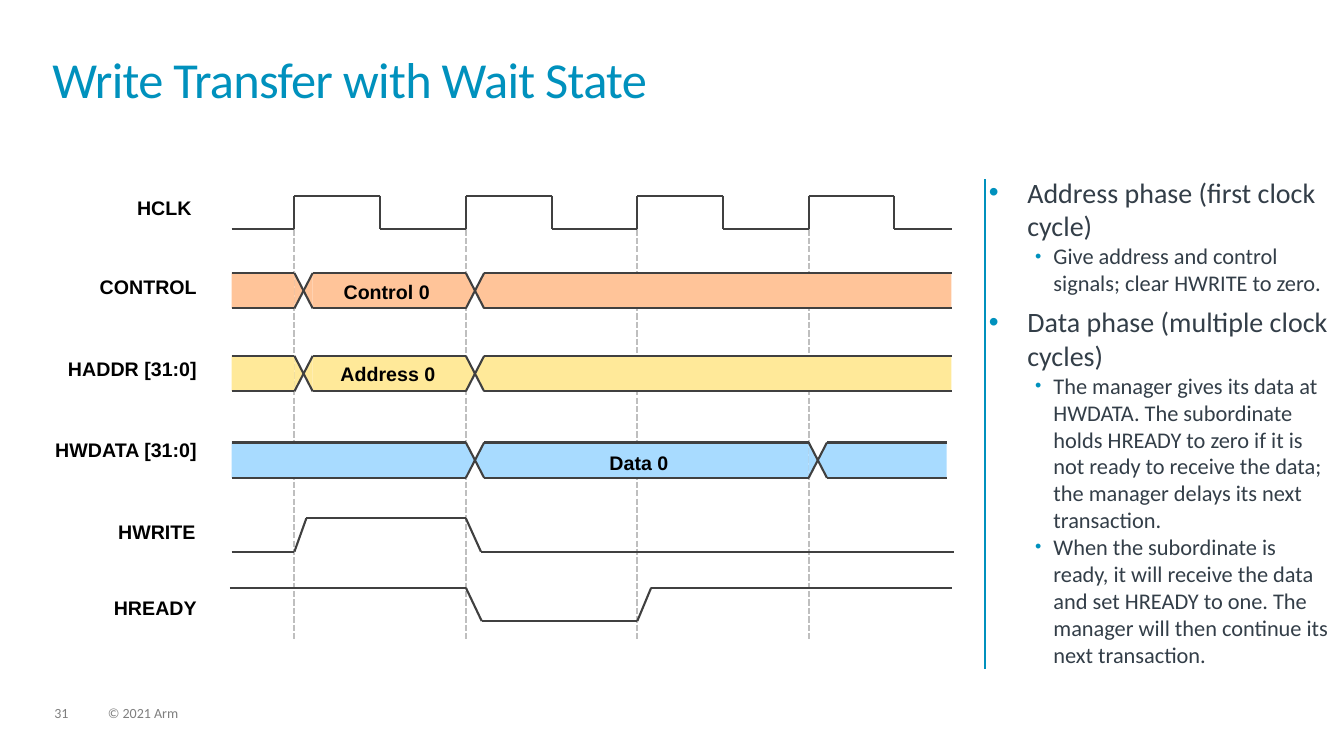
"""Build a slide with the timing diagram of a bus write transfer with a wait state."""
import itertools

import lxml.etree
import pptx
import pptx.dml.color
import pptx.enum.dml
import pptx.enum.shapes
import pptx.enum.text
import pptx.oxml.ns
import pptx.util

Cm, Pt = pptx.util.Cm, pptx.util.Pt
Align, Anchor = pptx.enum.text.PP_ALIGN, pptx.enum.text.MSO_ANCHOR
ShapeType = pptx.enum.shapes.MSO_SHAPE

THEME = {
    "accent": "0091BD", "body": "333E48", "footer": "7F7F7F", "label": "000000",
    "wave": "404040", "guide": "BFBFBF",
    "control": "FFC499", "address": "FFE999", "data": "A8DBFF",
    "text_font": "Calibri", "label_font": "Arial",
    "title_size": 36, "footer_size": 10, "label_size": 14, "body_sizes": (20, 16),
    "wave_width": 1.5, "divider_width": 1,
}

TITLE = "Write Transfer with Wait State"
FOOTERS = [("31", (1.37, 17.81, 0.86, 0.38)), ("© 2021 Arm", (2.72, 17.81, 12.88, 0.38))]
NOTES = [
    (0, "Address phase (first clock cycle)"),
    (1, "Give address and control signals; clear HWRITE to zero."),
    (0, "Data phase (multiple clock cycles)"),
    (1, "The manager gives its data at HWDATA. The subordinate holds HREADY to zero "
        "if it is not ready to receive the data; the manager delays its next transaction."),
    (1, "When the subordinate is ready, it will receive the data and set HREADY to one. "
        "The manager will then continue its next transaction."),
]
SIGNAL_LABELS = [
    ("HCLK", 5.08, 4.8), ("CONTROL", 5.21, 6.81), ("HADDR [31:0]", 5.21, 8.86),
    ("HWDATA [31:0]", 5.21, 10.9), ("HWRITE", 5.18, 12.98), ("HREADY", 5.21, 14.88),
]
VALUE_LABELS = [
    ("Control 0", (8.41, 6.93, 3.4, 1.19)),
    ("Address 0", (8.33, 8.99, 3.4, 1.19)),
    ("Data 0", (15.11, 11.23, 2.26, 1.19)),
]

WAVE_START, WAVE_END = 5.84, 23.98
PERIOD = 4.32
EDGES = [7.42 + PERIOD * cycle for cycle in range(4)]
CLOCK_HIGH, CLOCK_LOW = 4.93, 5.77
GUIDE_BOTTOM = 16.15
BUS_HEIGHT, CROSS_HALF = 0.89, 0.23
BUSES = [
    ("control", 6.88, EDGES[:2], WAVE_END),
    ("address", 8.97, EDGES[:2], WAVE_END),
    ("data", 11.15, [EDGES[1], EDGES[3]], 23.86),
]
WRITE_HIGH, WRITE_LOW = 13.06, 13.9
READY_HIGH, READY_LOW = 14.81, 15.65
STROBES = [
    [(WAVE_START, WRITE_LOW), (EDGES[0], WRITE_LOW), (7.72, WRITE_HIGH),
     (EDGES[1], WRITE_HIGH), (12.12, WRITE_LOW), (24.03, WRITE_LOW)],
    [(5.79, READY_HIGH), (EDGES[1], READY_HIGH), (12.14, READY_LOW),
     (EDGES[2], READY_LOW), (16.41, READY_HIGH), (WAVE_END, READY_HIGH)],
]


def color(name):
    return pptx.dml.color.RGBColor.from_string(THEME[name])


def add_element(parent, tag, **attributes):
    return lxml.etree.SubElement(parent, pptx.oxml.ns.qn(tag), **attributes)


def add_frame(slide, box, inset=0.0, anchor=Anchor.TOP):
    frame = slide.shapes.add_textbox(*map(Cm, box)).text_frame
    frame.word_wrap = True
    frame.vertical_anchor = anchor
    frame.margin_left = frame.margin_right = Cm(inset)
    frame.margin_top = frame.margin_bottom = Cm(inset / 2)
    return frame


def write(paragraph, text, *, size, fill, font="text_font", bold=False,
          align=Align.LEFT, line_spacing=1.0, tracking=None):
    paragraph.alignment = align
    paragraph.line_spacing = line_spacing
    run = paragraph.add_run()
    run.text = text
    run.font.size = Pt(size)
    run.font.name = THEME[font]
    run.font.bold = bold
    run.font.color.rgb = color(fill)
    if tracking is not None:
        run.font._element.set("spc", str(tracking))


def add_bullet(paragraph, level):
    left, hanging = ((0.97, 0.97), (1.63, 0.46))[level]
    paragraph.level = level
    properties = paragraph._p.get_or_add_pPr()
    properties.set("marL", str(Cm(left)))
    properties.set("indent", str(-Cm(hanging)))
    bullet_color = add_element(properties, "a:buClr")
    add_element(bullet_color, "a:srgbClr", val=THEME["accent"])
    add_element(properties, "a:buSzPct", val=("100000", "80000")[level])
    add_element(properties, "a:buFont", typeface=THEME["label_font"])
    add_element(properties, "a:buChar", char="•")


def add_line(slide, start, end, stroke="wave", width=THEME["wave_width"], dash=None):
    line = slide.shapes.add_connector(
        pptx.enum.shapes.MSO_CONNECTOR.STRAIGHT, *map(Cm, (*start, *end)))
    line.line.color.rgb = color(stroke)
    line.line.width = Pt(width)
    if dash is not None:
        line.line.dash_style = dash
    add_element(line._element.spPr, "a:effectLst")


def add_wave(slide, points):
    for start, end in itertools.pairwise(points):
        add_line(slide, start, end)


def add_fill(slide, kind, box, fill, rotation=0):
    shape = slide.shapes.add_shape(kind, *map(Cm, box))
    shape.shadow.inherit = False
    shape.fill.solid()
    shape.fill.fore_color.rgb = color(fill)
    shape.line.fill.background()
    shape.rotation = rotation


def add_bus(slide, fill, top, edges, end):
    middle, bottom = top + BUS_HEIGHT / 2, top + BUS_HEIGHT
    crossings = [edge + CROSS_HALF for edge in edges]
    lefts = [WAVE_START] + [x + CROSS_HALF for x in crossings]
    rights = [x - CROSS_HALF for x in crossings] + [end]
    for left, right in zip(lefts, rights):
        add_fill(slide, ShapeType.RECTANGLE, (left, top, right - left, BUS_HEIGHT), fill)
    for x in crossings:
        for side, rotation in ((-1, 90), (1, 270)):
            tip_left = x + side * CROSS_HALF / 2 - BUS_HEIGHT / 2
            tip = (tip_left, middle - CROSS_HALF / 2, BUS_HEIGHT, CROSS_HALF)
            add_fill(slide, ShapeType.ISOSCELES_TRIANGLE, tip, fill, rotation)
    for x in crossings:
        for side in (-CROSS_HALF, CROSS_HALF):
            add_wave(slide, [(x + side, top), (x, middle), (x + side, bottom)])
    for left, right in zip(lefts, rights):
        for y in (top, bottom):
            add_line(slide, (left, y), (right, y))


def add_diagram(slide):
    for edge in EDGES:
        add_line(slide, (edge, CLOCK_HIGH), (edge, GUIDE_BOTTOM), "guide",
                 dash=pptx.enum.dml.MSO_LINE.SQUARE_DOT)
    clock = [(WAVE_START, CLOCK_LOW)]
    for edge in EDGES:
        fall = edge + PERIOD / 2
        clock += [(edge, CLOCK_LOW), (edge, CLOCK_HIGH), (fall, CLOCK_HIGH), (fall, CLOCK_LOW)]
    add_wave(slide, clock + [(WAVE_END, CLOCK_LOW)])
    for bus in BUSES:
        add_bus(slide, *bus)
    for points in STROBES:
        add_wave(slide, points)
    label_format = {"size": THEME["label_size"], "fill": "label", "font": "label_font", "bold": True}
    for text, right, top in SIGNAL_LABELS:
        frame = add_frame(slide, (right - 4.09, top, 4.09, 1.19), inset=0.25)
        write(frame.paragraphs[0], text, align=Align.RIGHT, **label_format)
    for text, box in VALUE_LABELS:
        write(add_frame(slide, box, inset=0.25).paragraphs[0], text, **label_format)


def add_notes_column(slide):
    add_line(slide, (24.82, 4.52), (24.82, 16.87), "accent", THEME["divider_width"])
    frame = add_frame(slide, (24.92, 4.42, 8.71, 12.47))
    for index, (level, text) in enumerate(NOTES):
        paragraph = frame.add_paragraph() if index else frame.paragraphs[0]
        paragraph.line_spacing = 1.0
        paragraph.space_before = Pt(6 if index and level == 0 else 0)
        add_bullet(paragraph, level)
        write(paragraph, text, size=THEME["body_sizes"][level], fill="body")


def main():
    presentation = pptx.Presentation()
    presentation.slide_width, presentation.slide_height = Cm(33.87), Cm(19.05)
    slide = presentation.slides.add_slide(presentation.slide_layouts[6])
    for text, box in FOOTERS:
        write(add_frame(slide, box).paragraphs[0], text, size=THEME["footer_size"],
              fill="footer", line_spacing=0.9)
    title = add_frame(slide, (1.32, 1.32, 31.19, 1.42), anchor=Anchor.BOTTOM)
    write(title.paragraphs[0], TITLE, size=THEME["title_size"], fill="accent",
          line_spacing=0.85, tracking=-50)
    add_notes_column(slide)
    add_diagram(slide)
    presentation.save("out.pptx")


if __name__ == "__main__":
    main()
